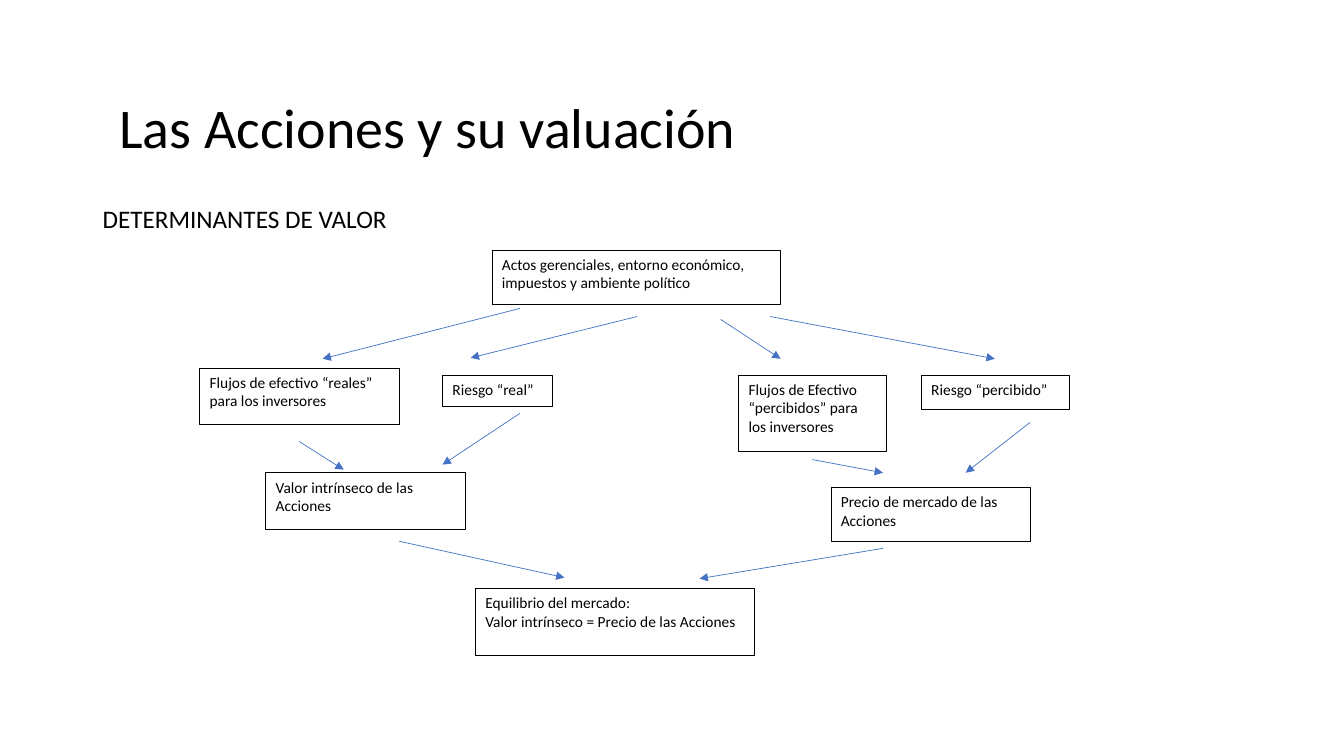
from lxml.etree import SubElement
from pptx import Presentation
from pptx.dml.color import RGBColor
from pptx.enum.shapes import MSO_CONNECTOR as Connector, MSO_SHAPE as Shape
from pptx.enum.text import MSO_ANCHOR as Anchor, MSO_AUTO_SIZE as AutoSize, PP_ALIGN as Align
from pptx.oxml.ns import qn
from pptx.util import Pt

BLACK = RGBColor(0x00, 0x00, 0x00)
WHITE = RGBColor(0xFF, 0xFF, 0xFF)
BLUE = RGBColor(0x44, 0x72, 0xC4)

BOXES = [
    ("Actos gerenciales, entorno económico, impuestos y ambiente político", 351.4, 178.6, 206, 38.9),
    ("Flujos de efectivo “reales” para los inversores", 142.6, 262.8, 142.6, 40.3),
    ("Riesgo “real”", 316.1, 268, 78.5, 22.3),
    ("Flujos de Efectivo “percibidos” para los inversores", 527.6, 268, 105.8, 54.7),
    ("Riesgo “percibido”", 658.1, 268, 105.8, 24.5),
    ("Valor intrínseco de las Acciones", 189.8, 337.7, 142.6, 40.3),
    ("Precio de mercado de las Acciones", 593.5, 348.3, 142.6, 38.2),
    ("Equilibrio del mercado:\nValor intrínseco = Precio de las Acciones", 339.6, 420.3, 199.4, 48.2),
]

ARROWS = [
    (371.5, 220.3, 230.4, 256.3),
    (455, 226.1, 336.2, 255.6),
    (514.8, 228.2, 557.6, 256.3),
    (550.1, 226.1, 710.6, 256.3),
    (213.8, 315.4, 245.5, 335.5),
    (371.5, 295.2, 316.1, 331.9),
    (580.3, 328.3, 630.7, 337.7),
    (735.8, 301.7, 689.8, 337.7),
    (285.1, 386.6, 403.2, 412.6),
    (630.7, 391.7, 499.7, 413.3),
]


class Diagram:
    font = {"name": "Calibri", "bold": False}
    line_width = Pt(0.5)

    def __init__(self, slide):
        self.slide = slide

    def apply(self, target, values):
        for name, value in values.items():
            setattr(target, name, value)

    def set_text(self, shape, text, size, anchor=Anchor.TOP, spacing=1.0):
        frame = shape.text_frame
        self.apply(frame, {
            "text": text, "word_wrap": True, "auto_size": AutoSize.NONE, "vertical_anchor": anchor,
        })
        for paragraph in frame.paragraphs:
            self.apply(paragraph, {"alignment": Align.LEFT, "line_spacing": spacing})
            self.apply(paragraph.font, {**self.font, "size": Pt(size)})
            paragraph.font.color.rgb = BLACK

    def title(self, text, left, top, width, height):
        shape = self.slide.shapes.title
        self.apply(shape, {
            "left": Pt(left), "top": Pt(top), "width": Pt(width), "height": Pt(height),
        })
        self.set_text(shape, text, 40, Anchor.MIDDLE, 0.9)

    def heading(self, text, left, top, width, height):
        shape = self.slide.shapes.add_textbox(Pt(left), Pt(top), Pt(width), Pt(height))
        self.set_text(shape, text, 18, spacing=0.9)

    def box(self, text, left, top, width, height):
        shape = self.slide.shapes.add_shape(
            Shape.RECTANGLE, Pt(left), Pt(top), Pt(width), Pt(height))
        shape.shadow.inherit = False
        shape.fill.solid()
        shape.fill.fore_color.rgb = WHITE
        shape.line.color.rgb = BLACK
        shape.line.width = self.line_width
        self.set_text(shape, text, 11)

    def arrow(self, *ends):
        connector = self.slide.shapes.add_connector(Connector.STRAIGHT, *map(Pt, ends))
        connector.line.color.rgb = BLUE
        connector.line.width = self.line_width
        properties = connector.element.spPr
        SubElement(properties.find(qn("a:ln")), qn("a:tailEnd"), type="triangle")
        SubElement(properties, qn("a:effectLst"))


def main():
    presentation = Presentation()
    presentation.slide_width = Pt(960)
    presentation.slide_height = Pt(540)
    layout = presentation.slide_layouts.get_by_name("Title Only")
    diagram = Diagram(presentation.slides.add_slide(layout))
    diagram.title("Las Acciones y su valuación", 78, 41, 828, 104.4)
    diagram.heading("DETERMINANTES DE VALOR", 66.2, 144, 828, 32)
    for box in BOXES:
        diagram.box(*box)
    for arrow in ARROWS:
        diagram.arrow(*arrow)
    presentation.save("out.pptx")


if __name__ == "__main__":
    main()
